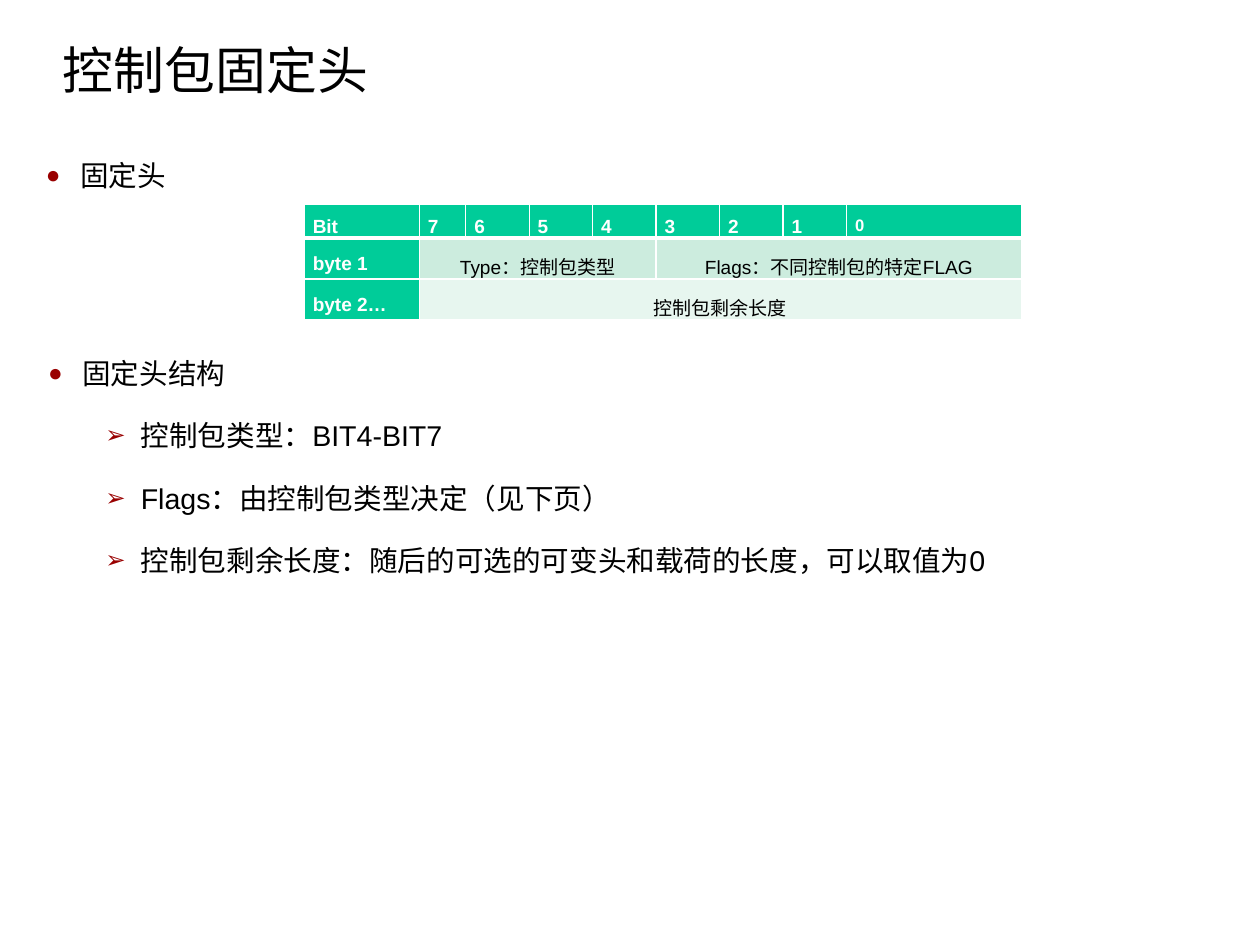
from dataclasses import dataclass

from lxml.etree import SubElement
from pptx import Presentation
from pptx.dml.color import RGBColor
from pptx.enum.text import MSO_ANCHOR as Anchor, PP_ALIGN as Align
from pptx.oxml.ns import qn
from pptx.util import Cm, Pt


@dataclass(frozen=True)
class Theme:
    font: str = "Arial"
    black: str = "000000"
    white: str = "FFFFFF"
    bullet: str = "990000"
    header: str = "00CC99"
    band_dark: str = "CCECDE"
    band_light: str = "E7F6EF"
    title_size: float = 32
    body_size: float = 18
    cell_size: float = 12
    small_size: float = 10.5


@dataclass(frozen=True)
class Item:
    text: str
    level: int = 0


@dataclass(frozen=True)
class TextBlock:
    left: float
    top: float
    width: float
    height: float
    items: tuple[Item, ...]


@dataclass(frozen=True)
class Field:
    row: int
    first: int
    last: int
    text: str
    fill: str
    is_label: bool = True
    size: float = 12


@dataclass(frozen=True)
class BulletLevel:
    symbol: str
    margin: float
    hanging: float


THEME = Theme()
LEVELS = (BulletLevel("●", 0.76, 0.76), BulletLevel("➢", 2.06, 0.79))
TITLE = TextBlock(1.4, 0.48, 25.2, 2.2, (Item("控制包固定头"),))
BULLETS = (
    TextBlock(0.84, 7.5, 25.2, 11.96, (
        Item("固定头结构"),
        Item("控制包类型：BIT4-BIT7", 1),
        Item("Flags：由控制包类型决定（见下页）", 1),
        Item("控制包剩余长度：随后的可选的可变头和载荷的长度，可以取值为0", 1),
    )),
    TextBlock(0.79, 3.1, 11.91, 1.4, (Item("固定头"),)),
)
COLUMN_WIDTHS = (2.56, 1.03, *[1.41] * 6, 3.89)
ROW_HEIGHTS = (0.72, 0.91, 0.91)
FIELDS = (
    Field(0, 0, 0, "Bit", THEME.header),
    *(Field(0, 8 - bit, 8 - bit, str(bit), THEME.header,
            size=THEME.cell_size if bit else THEME.small_size)
      for bit in range(7, -1, -1)),
    Field(1, 0, 0, "byte 1", THEME.header),
    Field(1, 1, 4, "Type：控制包类型", THEME.band_dark, False),
    Field(1, 5, 8, "Flags：不同控制包的特定FLAG", THEME.band_dark, False),
    Field(2, 0, 0, "byte 2…", THEME.header),
    Field(2, 1, 8, "控制包剩余长度", THEME.band_light, False),
)


def apply(target, formats: dict) -> None:
    for attribute, value in formats.items():
        setattr(target, attribute, value)


def write(paragraph, text: str, size: float, color: str, bold: bool = False) -> None:
    run = paragraph.add_run()
    run.text = text
    apply(run.font, {"name": THEME.font, "size": Pt(size), "bold": bold})
    run.font.color.rgb = RGBColor.from_string(color)


def add_frame(slide, block: TextBlock, formats: dict):
    box = slide.shapes.add_textbox(
        Cm(block.left), Cm(block.top), Cm(block.width), Cm(block.height))
    apply(box.text_frame, {"word_wrap": True, **formats})
    return box.text_frame


def draw_title(slide, block: TextBlock) -> None:
    frame = add_frame(slide, block, {
        "margin_left": 0, "margin_right": 0, "margin_top": Cm(0.08),
        "margin_bottom": 0, "vertical_anchor": Anchor.MIDDLE})
    paragraph = frame.paragraphs[0]
    paragraph.line_spacing = 0.93
    write(paragraph, block.items[0].text, THEME.title_size, THEME.black)


def set_bullet(paragraph, level: BulletLevel) -> None:
    properties = paragraph._p.get_or_add_pPr()
    properties.set("marL", str(Cm(level.margin)))
    properties.set("indent", str(-Cm(level.hanging)))
    color = SubElement(properties, qn("a:buClr"))
    SubElement(color, qn("a:srgbClr"), val=THEME.bullet)
    SubElement(properties, qn("a:buSzPct"), val="85000")
    SubElement(properties, qn("a:buFont"), typeface=THEME.font)
    SubElement(properties, qn("a:buChar"), char=level.symbol)


def draw_bullets(slide, block: TextBlock) -> None:
    frame = add_frame(slide, block, {
        "margin_left": Cm(0.23), "margin_right": Cm(0.23),
        "margin_top": Cm(0.11), "margin_bottom": Cm(0.11)})
    for index, item in enumerate(block.items):
        paragraph = frame.add_paragraph() if index else frame.paragraphs[0]
        apply(paragraph, {
            "level": item.level, "line_spacing": 1.4,
            "space_before": Pt(4.5), "space_after": Pt(4.5)})
        set_bullet(paragraph, LEVELS[item.level])
        write(paragraph, item.text, THEME.body_size, THEME.black)


def set_borders(cell, row: int) -> None:
    properties = cell._tc.get_or_add_tcPr()
    widths = {"lnL": 1, "lnR": 1, "lnT": 3 if row == 1 else 1,
              "lnB": 3 if row == 0 else 1}
    for index, (side, width) in enumerate(widths.items()):
        border = SubElement(properties, qn(f"a:{side}"), w=str(Pt(width)))
        fill = SubElement(border, qn("a:solidFill"))
        SubElement(fill, qn("a:srgbClr"), val=THEME.white)
        properties.insert(index, border)


def draw_field(table, field: Field) -> None:
    for column in range(field.first, field.last + 1):
        part = table.cell(field.row, column)
        part.fill.solid()
        part.fill.fore_color.rgb = RGBColor.from_string(field.fill)
        set_borders(part, field.row)
        apply(part, {
            "margin_left": Cm(0.19), "margin_right": Cm(0.19), "margin_top": 0,
            "margin_bottom": 0, "vertical_anchor": Anchor.MIDDLE})
    cell = table.cell(field.row, field.first)
    if field.last > field.first:
        cell.merge(table.cell(field.row, field.last))
    paragraph = cell.text_frame.paragraphs[0]
    apply(paragraph, {
        "line_spacing": 1.5,
        "alignment": Align.LEFT if field.is_label else Align.CENTER})
    color = THEME.white if field.is_label else THEME.black
    write(paragraph, field.text, field.size, color, field.is_label)


def draw_header_table(slide) -> None:
    table = slide.shapes.add_table(
        len(ROW_HEIGHTS), len(COLUMN_WIDTHS), Cm(6.76), Cm(4.53),
        Cm(sum(COLUMN_WIDTHS)), Cm(sum(ROW_HEIGHTS))).table
    apply(table, {"first_row": False, "horz_banding": False})
    for column, width in zip(table.columns, COLUMN_WIDTHS):
        column.width = Cm(width)
    for row, height in zip(table.rows, ROW_HEIGHTS):
        row.height = Cm(height)
    for field in FIELDS:
        draw_field(table, field)


def main() -> None:
    presentation = Presentation()
    apply(presentation, {"slide_width": Cm(28), "slide_height": Cm(21)})
    slide = presentation.slides.add_slide(presentation.slide_layouts[6])
    draw_title(slide, TITLE)
    for block in BULLETS:
        draw_bullets(slide, block)
    draw_header_table(slide)
    presentation.save("out.pptx")


if __name__ == "__main__":
    main()
